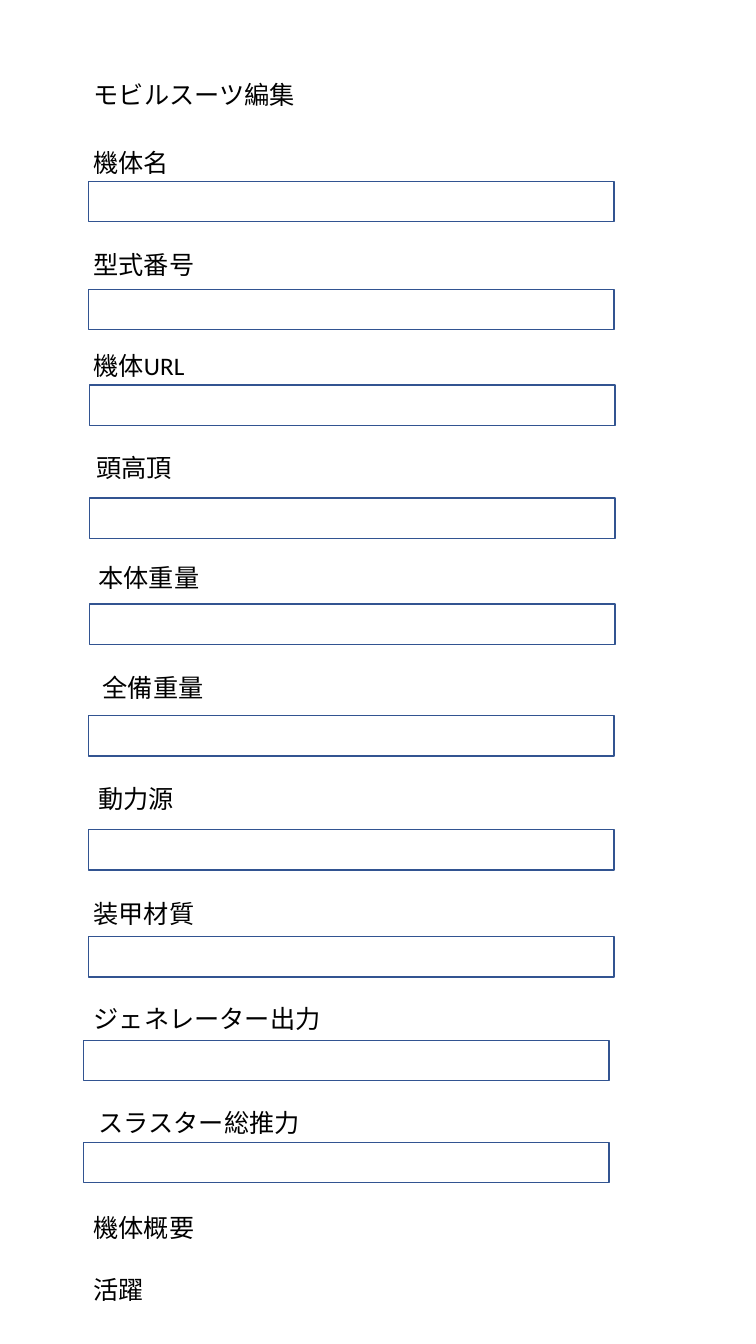
import pptx
import pptx.util
import pptx.dml.color
import pptx.enum.shapes
import pptx.enum.text
from dataclasses import dataclass


@dataclass(frozen=True)
class Theme:
    font: str = "Calibri"
    text_size: int = 18
    text_color: str = "000000"
    input_fill: str = "FFFFFF"
    input_line: str = "325491"
    line_width: int = 1


theme = Theme()
color = pptx.dml.color.RGBColor.from_string

deck = pptx.Presentation()
deck.slide_width = pptx.util.Inches(7.5)
deck.slide_height = pptx.util.Inches(13.33)
page = deck.slides.add_slide(deck.slide_layouts[6])


def place(left, top, width, height):
    """Turn percentages of the slide's size into lengths."""
    return (int(deck.slide_width * left / 100), int(deck.slide_height * top / 100),
            int(deck.slide_width * width / 100), int(deck.slide_height * height / 100))


# Shares of the slide, in percent
row_height = 3
label_width = 21.87
input_width = 69.47

# Labels: text, left, top, width
labels = [
    ("モビルスーツ編集", 11.07, 5.55, 30.67),
    ("機体名", 11.07, 10.58, label_width),
    ("型式番号", 11.07, 18.15, label_width),
    ("機体URL", 11.07, 25.66, label_width),
    ("頭高頂", 11.47, 33.31, label_width),
    ("本体重量", 11.73, 41.49, label_width),
    ("全備重量", 12.27, 49.66, label_width),
    ("動力源", 11.73, 57.91, label_width),
    ("装甲材質", 11.07, 66.47, label_width),
    ("ジェネレーター出力", 11.07, 74.27, 35.47),
    ("スラスター総推力", 11.73, 82, 31.2),
    ("機体概要", 11.07, 89.87, label_width),
    ("活躍", 11.07, 94.45, label_width),
]
for text, left, top, width in labels:
    box = page.shapes.add_textbox(*place(left, top, width, row_height))
    box.text_frame.word_wrap = True
    box.text_frame.auto_size = pptx.enum.text.MSO_AUTO_SIZE.SHAPE_TO_FIT_TEXT
    para = box.text_frame.paragraphs[0]
    para.text = text
    para.font.name = theme.font
    para.font.size = pptx.util.Pt(theme.text_size)
    para.font.color.rgb = color(theme.text_color)

# Input fields: left, top
inputs = [
    (11.73, 13.5), (11.73, 21.53), (11.87, 28.66), (11.87, 37.06), (11.87, 44.94),
    (11.73, 53.26), (11.73, 61.74), (11.73, 69.69), (11.07, 77.42), (11.07, 85),
]
for left, top in inputs:
    field = page.shapes.add_shape(pptx.enum.shapes.MSO_SHAPE.RECTANGLE,
                                  *place(left, top, input_width, row_height))
    field.shadow.inherit = False
    field.fill.solid()
    field.fill.fore_color.rgb = color(theme.input_fill)
    field.line.color.rgb = color(theme.input_line)
    field.line.width = pptx.util.Pt(theme.line_width)

deck.save("out.pptx")
